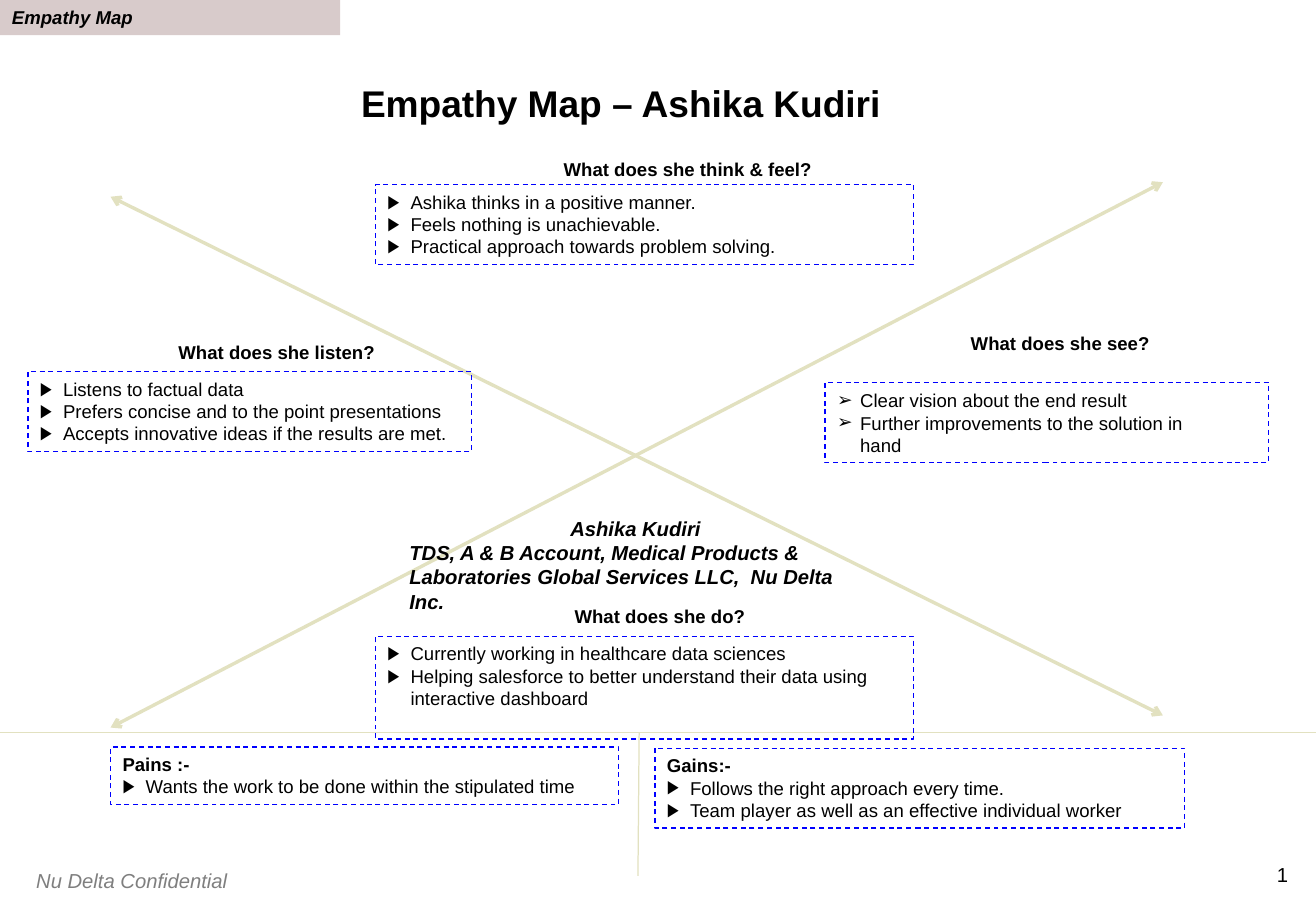
from lxml import etree
from pptx import Presentation
from pptx.dml.color import RGBColor
from pptx.enum.dml import MSO_LINE
from pptx.enum.shapes import MSO_CONNECTOR, MSO_SHAPE
from pptx.enum.text import MSO_ANCHOR, PP_ALIGN
from pptx.oxml.ns import qn
from pptx.util import Inches, Pt

RECTANGLE = MSO_SHAPE.RECTANGLE
STRAIGHT = MSO_CONNECTOR.STRAIGHT
DASH = MSO_LINE.DASH
TOP, MIDDLE, BOTTOM = MSO_ANCHOR.TOP, MSO_ANCHOR.MIDDLE, MSO_ANCHOR.BOTTOM
LEFT, CENTER, RIGHT = PP_ALIGN.LEFT, PP_ALIGN.CENTER, PP_ALIGN.RIGHT

COLORS = {"text": "000000", "muted": "7F7F7F", "frame": "0000FF", "axis": "E2E1C0", "tab": "D8CBCB"}
FONT = "Arial"
WIDTH, HEIGHT = 10.83, 7.5
ROW, PADDING, INDENT = 0.186, 0.1, 0.19
TRIANGLE, ARROWHEAD = "\u25b6", "\u27a2"

CENTER_COLUMN = (3.09, 4.43)
SIDE_WIDTH = 3.65
LEFT_EDGE, RIGHT_EDGE = 0.91, 9.57
DIVIDER_Y = 6.03

TITLE = "Empathy Map \u2013 Ashika Kudiri"
TAB = "Empathy Map"
FOOTER = "Nu Delta Confidential"
PAGE = "1"
PERSON = "Ashika Kudiri"
ROLE = "TDS, A & B Account, Medical Products & Laboratories Global Services LLC,  Nu Delta Inc."

QUESTIONS = [
    ("What does she think & feel?", 4.54, 1.25, 2.26),
    ("What does she do?", 4.63, 4.93, 1.62),
    ("What does she see?", 7.89, 2.68, 1.69),
    ("What does she listen?", 1.37, 2.76, 1.83),
]

ANSWERS = [
    dict(column=CENTER_COLUMN, top=5.24, rows=4, items=[
        "Currently working in healthcare data sciences",
        "Helping salesforce to better understand their data using interactive dashboard"]),
    dict(column=CENTER_COLUMN, top=1.52, rows=3, items=[
        "Ashika thinks in a positive manner.",
        "Feels nothing is unachievable.",
        "Practical approach towards problem solving."]),
    dict(column=(0.23, SIDE_WIDTH), top=3.06, rows=3, items=[
        "Listens to factual data",
        "Prefers concise and to the point presentations",
        "Accepts innovative ideas if the results are met."]),
    dict(column=(6.79, SIDE_WIDTH), top=3.15, rows=3, bullet=ARROWHEAD, anchor=MIDDLE, items=[
        "Clear vision about the end result",
        "Further improvements to the solution in\vhand"]),
    dict(column=(LEFT_EDGE, 4.18), top=6.15, rows=2, heading="Pains :-", items=[
        "Wants the work to be done within the stipulated time"]),
    dict(column=(5.39, 4.36), top=6.16, rows=3, heading="Gains:-", items=[
        "Follows the right approach every time.",
        "Team player as well as an effective individual worker"]),
]

DIAGONALS = [
    ((LEFT_EDGE, 1.62), (RIGHT_EDGE, 5.89)),
    ((LEFT_EDGE, 5.99), (RIGHT_EDGE, 1.5)),
]
DIVIDERS = [
    ((0, DIVIDER_Y), (WIDTH, DIVIDER_Y)),
    ((5.26, DIVIDER_Y), (5.25, 7.21)),
]


def color(name):
    return RGBColor.from_string(COLORS[name])


def write(frame, text, size=11, bold=False, italic=False, ink="text", align=LEFT, bullet=None, spacing=None):
    first = frame.paragraphs[0]
    paragraph = frame.add_paragraph() if first.runs else first
    paragraph.text = text
    paragraph.alignment = align
    if spacing:
        paragraph.line_spacing = spacing
    for run in paragraph.runs:
        font = run.font
        font.name, font.size, font.bold, font.italic = FONT, Pt(size), bold, italic
        font.color.rgb = color(ink)
    if bullet:
        properties = paragraph._p.get_or_add_pPr()
        properties.set("marL", str(Inches(INDENT)))
        properties.set("indent", str(-Inches(INDENT)))
        etree.SubElement(properties, qn("a:buFont")).set("typeface", FONT)
        etree.SubElement(properties, qn("a:buChar")).set("char", bullet)


def prepare(shape, wrap=True, anchor=TOP, inset=None):
    frame = shape.text_frame
    frame.word_wrap = wrap
    frame.vertical_anchor = anchor
    if inset is not None:
        frame.margin_left = frame.margin_right = frame.margin_top = frame.margin_bottom = Inches(inset)
    return frame


def add_label(left, top, width, height, **layout):
    return prepare(slide.shapes.add_textbox(*map(Inches, (left, top, width, height))), **layout)


def add_box(left, top, width, height, fill=None, line=None, **layout):
    box = slide.shapes.add_shape(RECTANGLE, *map(Inches, (left, top, width, height)))
    box.shadow.inherit = False
    if fill:
        box.fill.solid()
        box.fill.fore_color.rgb = color(fill)
    else:
        box.fill.background()
    if line:
        box.line.color.rgb = color(line)
        box.line.width = Pt(0.75)
        box.line.dash_style = DASH
    else:
        box.line.fill.background()
    return prepare(box, **layout)


def add_axis(start, end, weight, arrows=False):
    axis = slide.shapes.add_connector(STRAIGHT, *map(Inches, start + end))
    axis.line.color.rgb = color("axis")
    axis.line.width = Pt(weight)
    if arrows:
        for tag in ("a:headEnd", "a:tailEnd"):
            etree.SubElement(axis.line._get_or_add_ln(), qn(tag)).set("type", "arrow")
    etree.SubElement(axis._element.spPr, qn("a:effectLst"))


deck = Presentation()
deck.slide_width, deck.slide_height = Inches(WIDTH), Inches(HEIGHT)
slide = deck.slides.add_slide(deck.slide_layouts[6])

write(add_label(10.4, 7.1, 0.2, 0.2, wrap=False, inset=0), PAGE, size=12, align=RIGHT)
write(add_label(0.2, 7.1, 2, 0.3), FOOTER, size=12, italic=True, ink="muted")

for start, end in DIAGONALS:
    add_axis(start, end, 2, arrows=True)
for start, end in DIVIDERS:
    add_axis(start, end, 0.75)

for answer in ANSWERS:
    left, width = answer["column"]
    frame = add_box(left, answer["top"], width, PADDING + ROW * answer["rows"],
                    line="frame", anchor=answer.get("anchor", TOP))
    if "heading" in answer:
        write(frame, answer["heading"], bold=True)
    for item in answer["items"]:
        write(frame, item, bullet=answer.get("bullet", TRIANGLE))

profile = add_label(3.27, 4.2, 3.92, 0.91)
write(profile, PERSON, size=12, bold=True, italic=True, align=CENTER)
write(profile, ROLE, size=12, bold=True, italic=True)

for question, left, top, width in QUESTIONS:
    write(add_label(left, top, width, 0.29, wrap=False), question, bold=True)

write(add_box(0, 0, 2.8, 0.29, fill="tab"), TAB, bold=True, italic=True)
write(add_label(0.48, 0.25, 9.26, 0.78, anchor=BOTTOM, inset=0), TITLE,
      size=22, bold=True, align=CENTER, spacing=0.9)

deck.save("out.pptx")
